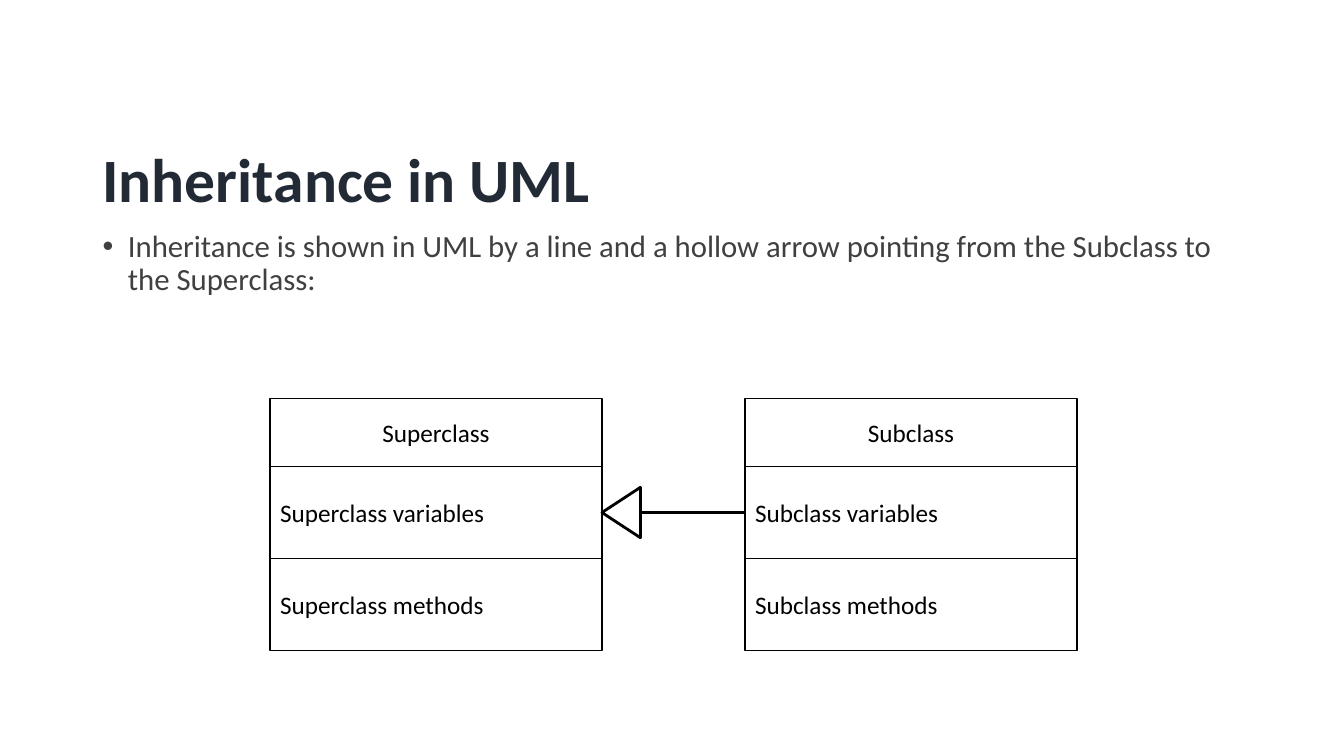
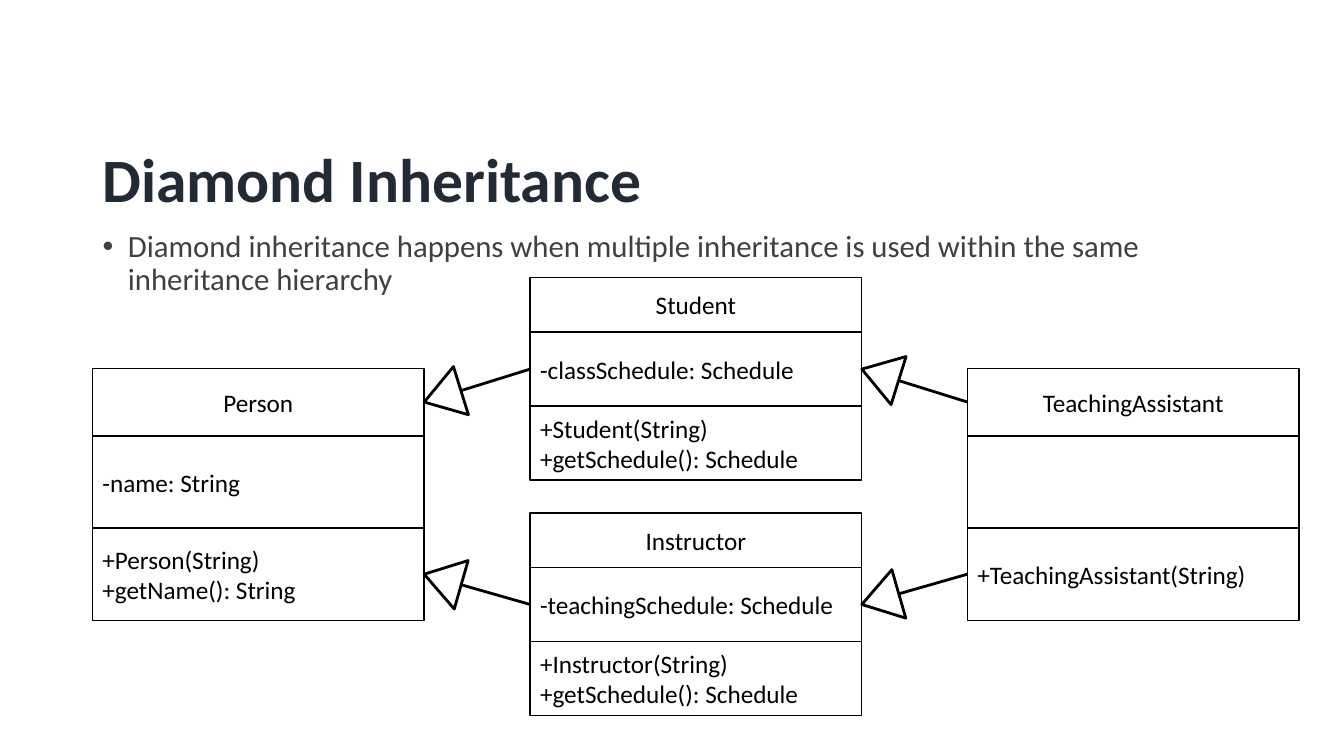
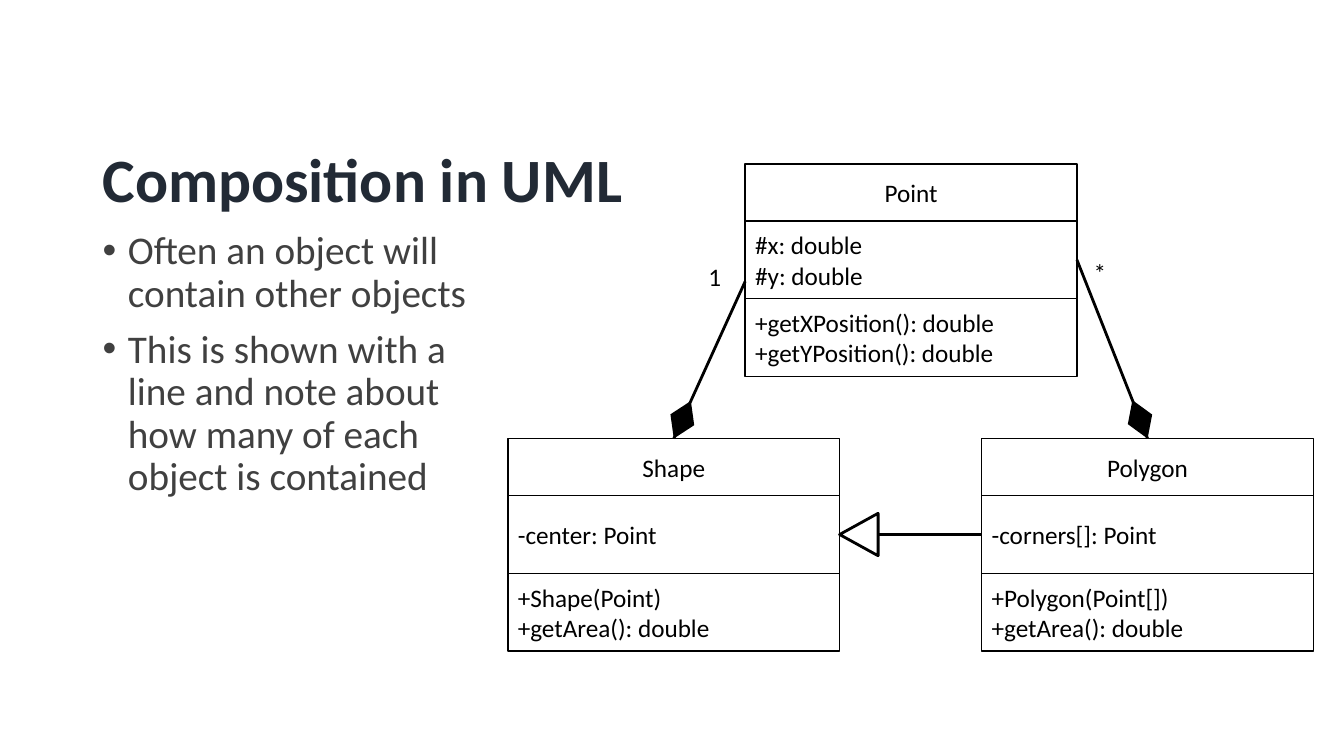
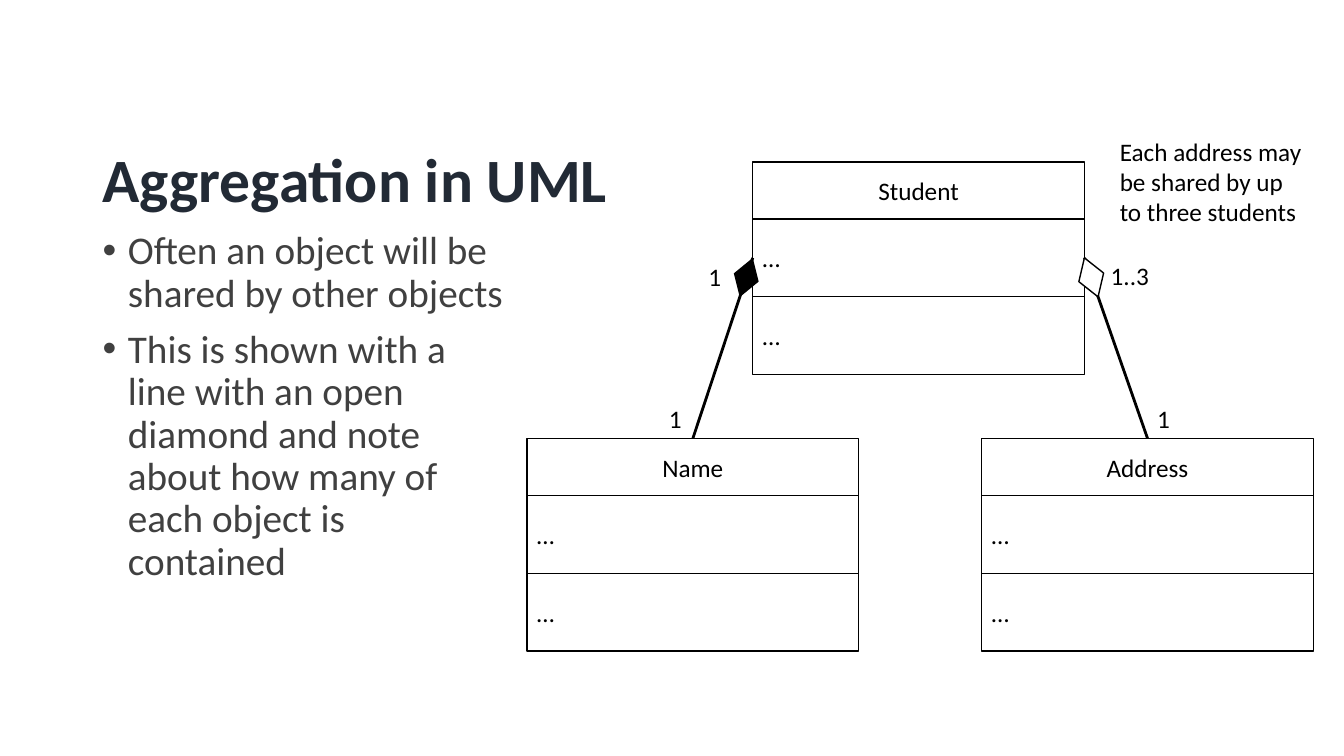
from math import atan2, degrees, hypot

from lxml.etree import SubElement
from pptx import Presentation
from pptx.dml.color import RGBColor
from pptx.enum.shapes import MSO_CONNECTOR, MSO_SHAPE
from pptx.enum.text import MSO_ANCHOR, MSO_AUTO_SIZE, PP_ALIGN
from pptx.oxml.ns import qn
from pptx.util import Cm, Pt

BLACK = RGBColor(0x00, 0x00, 0x00)
WHITE = RGBColor(0xFF, 0xFF, 0xFF)
NAVY = RGBColor(0x22, 0x2A, 0x35)
GREY = RGBColor(0x40, 0x40, 0x40)

FONT = "Calibri"
MARGIN = 2.33
BOX_WIDTH = 8.36
ROW_RATIOS = (11, 15, 15)  # name, variables, methods
TOP, LEFT, BOTTOM, RIGHT = range(4)


def side_point(sp, side):
    """Middle of a rectangle's side, numbered as connection sites are."""
    fx, fy = ((0.5, 0), (0, 0.5), (0.5, 1), (1, 0.5))[side]
    return sp.left + int(sp.width * fx), sp.top + int(sp.height * fy)


class UmlDeck:
    """Holds the style of the deck and the slide being drawn; lengths in cm."""

    def __init__(self):
        self.prs = Presentation()
        self.prs.slide_width = Cm(33.87)
        self.prs.slide_height = Cm(19.05)
        self.slide = None

    def style(self, tf, size, color=BLACK, bold=False):
        for p in tf.paragraphs:
            for r in p.runs:
                r.font.name = FONT
                r.font.size = Pt(size)
                r.font.bold = bold
                r.font.color.rgb = color

    def place(self, sp, left, top, width, height):
        sp.left, sp.top = Cm(left), Cm(top)
        sp.width, sp.height = Cm(width), Cm(height)

    def fill_placeholder(self, sp, text, size, color, bold=False):
        tf = sp.text_frame
        tf.text = text
        tf.auto_size = MSO_AUTO_SIZE.NONE
        tf.vertical_anchor = MSO_ANCHOR.TOP
        for p in tf.paragraphs:
            p.alignment = PP_ALIGN.LEFT
            p.line_spacing = 0.9
        self.style(tf, size, color, bold)
        return tf

    def new_slide(self, title, bullets, size, width, height):
        self.slide = self.prs.slides.add_slide(self.prs.slide_layouts[1])
        heading, body = self.slide.placeholders
        self.place(heading, MARGIN, 3.63, 29.21, 1.7)
        self.fill_placeholder(heading, title, 44, NAVY, bold=True)
        self.place(body, MARGIN, 5.69, width, height)
        tf = self.fill_placeholder(body, "\n".join(bullets), size, GREY)
        for p in tf.paragraphs:
            p.space_before = Pt(10)
            pPr = p._p.get_or_add_pPr()
            pPr.set("marL", str(Cm(0.64)))
            pPr.set("indent", str(-Cm(0.64)))
            SubElement(pPr, qn("a:buChar")).set("char", "•")

    def class_box(self, left, top, height, *texts):
        """Draws a UML class and returns its name, variables and methods rows."""
        rows = []
        for ratio, text in zip(ROW_RATIOS, texts):
            row_height = height * ratio / sum(ROW_RATIOS)
            sp = self.slide.shapes.add_shape(
                MSO_SHAPE.RECTANGLE, Cm(left), Cm(top), Cm(BOX_WIDTH), Cm(row_height))
            sp.shadow.inherit = False
            sp.fill.background()
            sp.line.color.rgb = BLACK
            sp.line.width = Pt(1)
            tf = sp.text_frame
            tf.text = text
            for p in tf.paragraphs:
                p.alignment = PP_ALIGN.LEFT if rows else PP_ALIGN.CENTER
            self.style(tf, 18)
            rows.append(sp)
            top += row_height
        return rows

    def line(self, start, end):
        """Joins two (shape, side) pairs; start may be a plain point in cm."""
        joined = not isinstance(start[0], float)
        x1, y1 = side_point(*start) if joined else map(Cm, start)
        x2, y2 = side_point(*end)
        cn = self.slide.shapes.add_connector(MSO_CONNECTOR.STRAIGHT, x1, y1, x2, y2)
        if joined:
            cn.begin_connect(*start)
        cn.end_connect(*end)
        cn.line.color.rgb = BLACK
        cn.line.width = Pt(2)
        SubElement(cn._element.spPr, qn("a:effectLst"))
        return x1, y1, x2, y2

    def symbol(self, preset, ends, width, height, fill, line_width):
        """Puts a symbol at the end of a line, turned along it."""
        x1, y1, x2, y2 = ends
        dx, dy = x2 - x1, y2 - y1
        back = Cm(height) / 2 / hypot(dx, dy)
        left = x2 - dx * back - Cm(width) / 2
        top = y2 - dy * back - Cm(height) / 2
        sp = self.slide.shapes.add_shape(preset, int(left), int(top), Cm(width), Cm(height))
        sp.rotation = degrees(atan2(dx, -dy)) % 360
        sp.shadow.inherit = False
        sp.fill.solid()
        sp.fill.fore_color.rgb = fill
        if line_width:
            sp.line.color.rgb = BLACK
            sp.line.width = Pt(line_width)
        else:
            sp.line.fill.background()

    def inherits(self, start, end, width=1.27):
        ends = self.line(start, end)
        self.symbol(MSO_SHAPE.ISOSCELES_TRIANGLE, ends, width, 0.97, WHITE, 2)

    def composes(self, start, end):
        self.symbol(MSO_SHAPE.DIAMOND, self.line(start, end), 0.66, 1.04, BLACK, 0)

    def aggregates(self, start, end):
        self.symbol(MSO_SHAPE.DIAMOND, self.line(start, end), 0.66, 1.04, WHITE, 1)

    def label(self, text, left, top, width=0.84, height=1.02, wrap=False):
        sp = self.slide.shapes.add_textbox(Cm(left), Cm(top), Cm(width), Cm(height))
        tf = sp.text_frame
        tf.word_wrap = wrap
        tf.text = text
        self.style(tf, 18)


def inheritance(deck):
    deck.new_slide("Inheritance in UML", [
        "Inheritance is shown in UML by a line and a hollow arrow pointing "
        "from the Subclass to the Superclass:"], 22, 29.21, 12.09)
    parent, child = [
        deck.class_box(left, 10.05, 6.35, name, f"{name} variables", f"{name} methods")
        for left, name in ((6.81, "Superclass"), (18.78, "Subclass"))]
    deck.inherits((child[1], LEFT), (parent[1], RIGHT))


def diamond_inheritance(deck):
    deck.new_slide("Diamond Inheritance", [
        "Diamond inheritance happens when multiple inheritance is used within "
        "the same inheritance hierarchy"], 22, 29.21, 12.09)
    person = deck.class_box(MARGIN, 9.28, 6.35, "Person", "-name: String",
                            "+Person(String)\n+getName(): String")
    student, instructor = [
        deck.class_box(13.36, top, 5.1, name, f"-{variable}: Schedule",
                       f"+{name}(String)\n+getSchedule(): Schedule")
        for top, name, variable in ((7.0, "Student", "classSchedule"),
                                    (12.93, "Instructor", "teachingSchedule"))]
    assistant = deck.class_box(24.38, 9.28, 6.35, "TeachingAssistant", "",
                               "+TeachingAssistant(String)")
    for middle, row in ((student, 0), (instructor, 2)):
        deck.inherits((middle[1], LEFT), (person[row], RIGHT))
        deck.inherits((assistant[row], LEFT), (middle[1], RIGHT))


def composition(deck):
    deck.new_slide("Composition in UML", [
        "Often an object will contain other objects",
        "This is shown with a line and note about how many of each object is contained",
    ], 28, 10.64, 7.09)
    point = deck.class_box(18.78, 4.13, 5.36, "Point", "#x: double\n#y: double",
                           "+getXPosition(): double\n+getYPosition(): double")
    shape = deck.class_box(12.8, 11.05, 5.36, "Shape", "-center: Point",
                           "+Shape(Point)\n+getArea(): double")
    polygon = deck.class_box(24.74, 11.05, 5.36, "Polygon", "-corners[]: Point",
                             "+Polygon(Point[])\n+getArea(): double")
    deck.composes((point[1], RIGHT), (polygon[0], TOP))
    deck.composes((18.78, 7.09), (shape[0], TOP))
    deck.inherits((polygon[1], LEFT), (shape[1], RIGHT), width=1.07)
    deck.label("1", 17.6, 6.45)
    deck.label("*", 27.31, 6.35)


def aggregation(deck):
    deck.new_slide("Aggregation in UML", [
        "Often an object will be shared by other objects",
        "This is shown with a line with an open diamond and note about how many "
        "of each object is contained",
    ], 28, 10.64, 9.42)
    student, name, address = [
        deck.class_box(left, top, 5.36, title, "…", "…")
        for left, top, title in ((18.97, 4.08, "Student"), (13.28, 11.05, "Name"),
                                 (24.74, 11.05, "Address"))]
    deck.aggregates((address[0], TOP), (student[1], RIGHT))
    deck.composes((name[0], TOP), (student[1], LEFT))
    deck.label("1..3", 27.74, 6.43, width=1.47)
    for left, top in ((17.6, 6.45), (16.61, 10.03), (28.91, 10.03)):
        deck.label("1", left, top)
    deck.label("Each address may be shared by up to three students",
               27.97, 3.3, 5.11, 2.57, wrap=True)


def main():
    deck = UmlDeck()
    for build in (inheritance, diamond_inheritance, composition, aggregation):
        build(deck)
    deck.prs.save("out.pptx")


if __name__ == "__main__":
    main()
